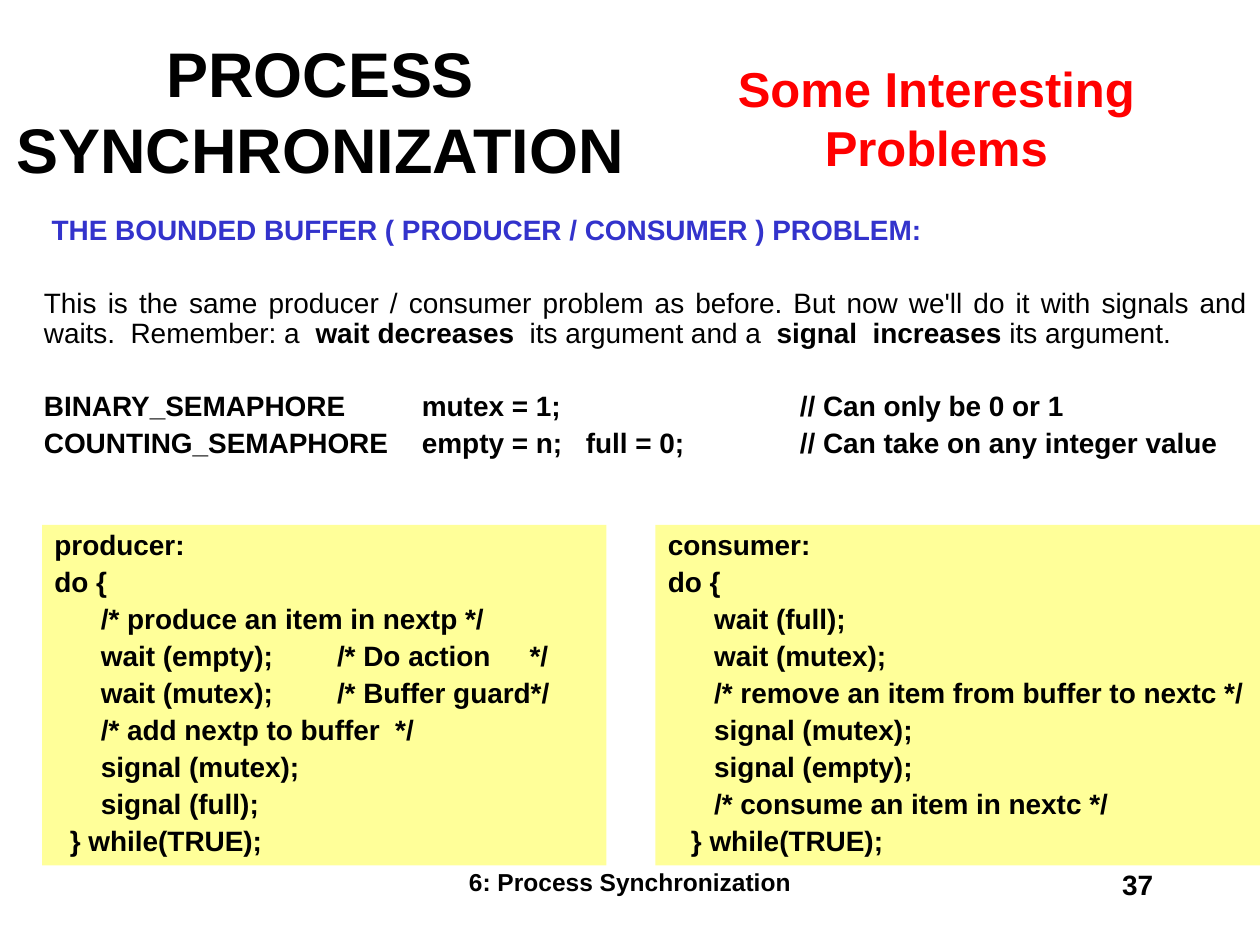
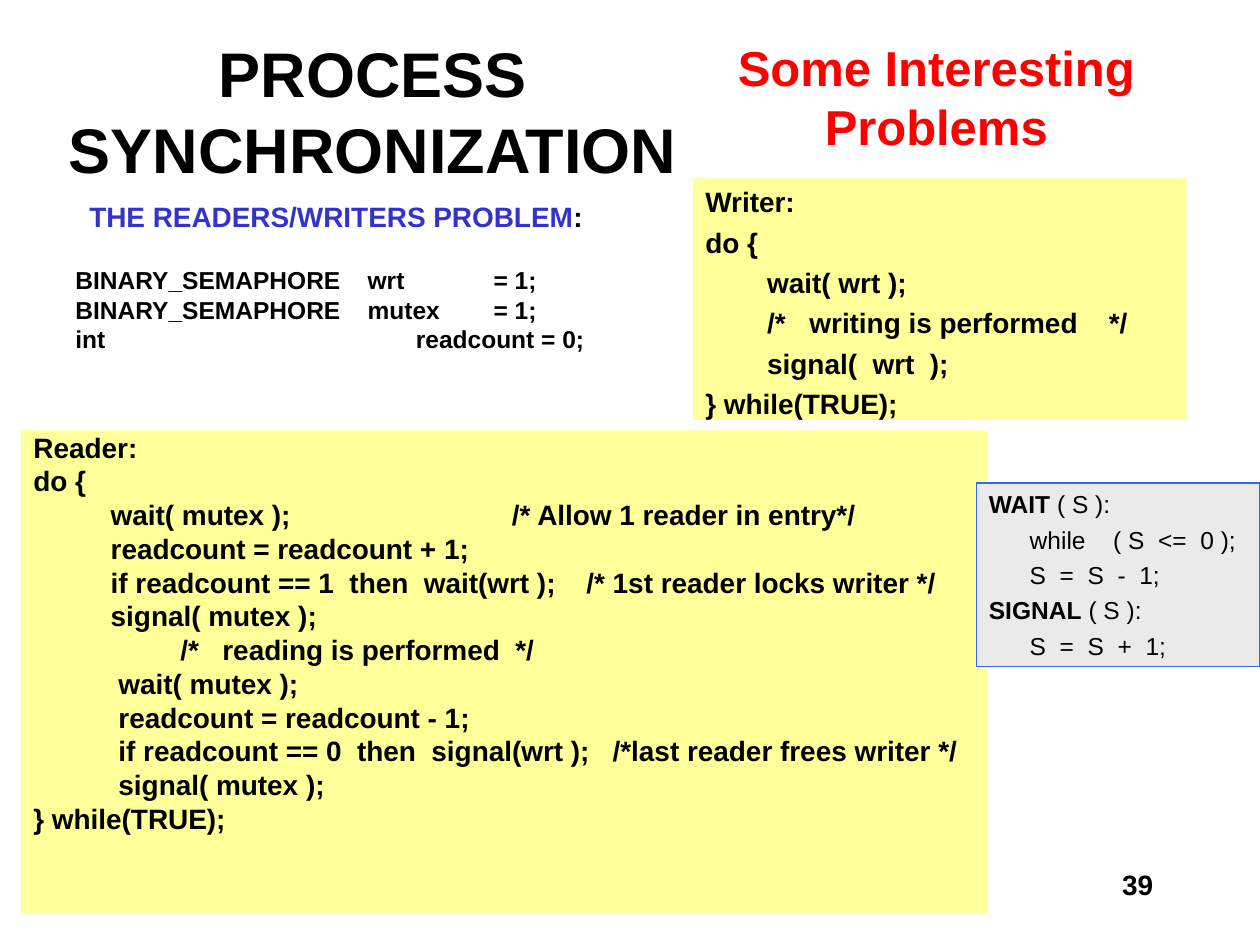
from dataclasses import dataclass

from lxml.etree import SubElement
from pptx import Presentation
from pptx.dml.color import RGBColor
from pptx.enum.shapes import MSO_SHAPE as Shape
from pptx.enum.text import MSO_ANCHOR as Anchor, PP_ALIGN as Align
from pptx.oxml.ns import qn
from pptx.util import Pt

BLACK = RGBColor(0x00, 0x00, 0x00)
RED = RGBColor(0xFF, 0x00, 0x00)
BLUE = RGBColor(0x33, 0x33, 0xCC)
YELLOW = RGBColor(0xFF, 0xFF, 0x99)
GREY = RGBColor(0xEA, 0xEA, 0xEA)
BORDER = RGBColor(0x33, 0x66, 0xFF)
FONT = "Arial"
GAP_RATIO = 0.245


@dataclass
class Line:
    """One paragraph; each bar in its text switches bold on or off."""

    text: str
    tabs: tuple = ()
    extra: float = 0
    indent: float = 0
    size: float = 16
    bold: bool = True
    color: RGBColor = BLACK
    align: Align = Align.LEFT


def write_line(para, line, spacing, before):
    """Fill a paragraph with the spans and settings of a line."""
    properties = para._p.get_or_add_pPr()
    if line.indent:
        properties.set("marL", str(Pt(line.indent)))
    if line.tabs:
        stops = SubElement(properties, qn("a:tabLst"))
        for stop in line.tabs:
            SubElement(stops, qn("a:tab"), pos=str(Pt(stop)), algn="l")
    para.alignment = line.align
    para.line_spacing = spacing
    para.space_before = Pt(before)
    para.font.name = FONT
    para.font.size = Pt(line.size)
    para.font.color.rgb = line.color
    parts = line.text.split("|")
    if len(parts) == 1:
        para.font.bold = line.bold
    for index, part in enumerate(parts):
        span = para.add_run()
        span.text = part
        if len(parts) > 1:
            span.font.bold = line.bold == (index % 2 == 0)


def write_lines(box, lines, spacing=1.0, gap=GAP_RATIO):
    """Write lines into a box, with space between but not above them."""
    frame = box.text_frame
    frame.word_wrap = True
    frame.vertical_anchor = Anchor.TOP
    for index, line in enumerate(lines):
        if isinstance(line, str):
            line = Line(line)
        para = frame.paragraphs[0] if index == 0 else frame.add_paragraph()
        before = line.size * gap + line.extra if index else 0
        write_line(para, line, spacing, before)


def add_text(page, area, lines, spacing=1.0, gap=GAP_RATIO):
    """Add a text box that holds the lines."""
    box = page.shapes.add_textbox(*map(Pt, area))
    write_lines(box, lines, spacing, gap)
    return box


def add_panel(page, area, lines, spacing=1.0, fill=YELLOW, border=None):
    """Add a filled rectangle that holds lines of code."""
    panel = page.shapes.add_shape(Shape.RECTANGLE, *map(Pt, area))
    panel.shadow.inherit = False
    panel.fill.solid()
    panel.fill.fore_color.rgb = fill
    if border:
        panel.line.color.rgb = border
        panel.line.width = Pt(0.75)
    else:
        panel.line.fill.background()
    write_lines(panel, lines, spacing)


def add_headings(page, title_left, title_width, topic_top):
    """Add the black title and the red topic beside it."""
    title = Line("PROCESS SYNCHRONIZATION", size=36, align=Align.CENTER)
    box = add_text(page, (title_left, 18, title_width, 90), [title])
    box.text_frame.vertical_anchor = Anchor.MIDDLE
    topic = [Line(text, size=28, color=RED, align=Align.CENTER)
             for text in ("Some Interesting", "Problems")]
    box = add_text(page, (414, topic_top, 242, 74), topic, gap=0)
    box.text_frame.word_wrap = False


def add_number(page, number):
    """Add the slide number at the lower right."""
    add_text(page, (516, 492, 150, 36), [Line(str(number), align=Align.RIGHT)])


def build_bounded_buffer(page):
    """Build the slide on the producer and consumer problem."""
    footer = Line("6: Process Synchronization", size=14, align=Align.CENTER)
    add_text(page, (246, 492, 228, 36), [footer])
    add_number(page, 37)
    blank = 20.5
    add_text(page, (18, 120, 702, 150), [
        Line("THE BOUNDED BUFFER ( PRODUCER / CONSUMER ) PROBLEM:",
             indent=4.45, color=BLUE),
        Line("This is the same producer / consumer problem as before. But now "
             "we'll do it with signals and waits.  Remember: a  |wait decreases"
             "|  its argument and a  |signal  increases| its argument.",
             extra=blank, bold=False, align=Align.JUSTIFY),
        Line("BINARY_SEMAPHORE\tmutex = 1;\t// Can only be 0 or 1",
             tabs=(216, 432), extra=blank),
        Line("COUNTING_SEMAPHORE\tempty = n;\tfull = 0;"
             "\t// Can take on any integer value", tabs=(216, 309.7, 432)),
    ], 0.9)
    add_panel(page, (24, 300, 322.5, 194.5), [
        "producer:",
        "do {",
        "      /* produce an item in nextp */",
        Line("      wait (empty);\t/* Do action\t*/", tabs=(161.5, 271.5)),
        Line("      wait (mutex);\t/* Buffer guard*/", tabs=(161.5,)),
        "      /* add nextp to buffer  */",
        "      signal (mutex);",
        "      signal (full);",
        "  } while(TRUE);",
    ], 0.9)
    add_panel(page, (374.5, 300, 345.5, 194.5), [
        "consumer:",
        "do {",
        "      wait (full);",
        "      wait (mutex);",
        "      /* remove an item from buffer to nextc */",
        "      signal (mutex);",
        "      signal (empty);",
        "      /* consume an item in nextc */",
        "   } while(TRUE);",
    ], 0.9)
    add_headings(page, 0, 366, 30)


def build_readers_writers(page):
    """Build the slide on the readers and writers problem."""
    add_number(page, 39)
    problem = add_text(page, (36, 114, 312, 102), [
        Line("THE READERS/WRITERS PROBLEM", color=BLUE, align=Align.CENTER),
        Line("BINARY_SEMAPHORE\twrt\t= 1;", (167, 239), extra=18.6, size=14),
        Line("BINARY_SEMAPHORE\tmutex\t= 1;", (167, 239), size=14),
        Line("int\treadcount = 0;", (194.5,), size=14),
    ], 0.8)
    colon = problem.text_frame.paragraphs[0].add_run()
    colon.text = ":"
    colon.font.color.rgb = BLACK
    add_panel(page, (12, 246, 552, 276), [
        "Reader:",
        "do {",
        Line("          wait( mutex );\t/* Allow 1 reader in entry*/", (273.5,)),
        "          readcount = readcount + 1;",
        Line("          if readcount == 1  then  wait(wrt );"
             "\t/* 1st reader locks writer */", (316,)),
        "          signal( mutex );",
        Line("                   /*\treading is performed  */", (108,)),
        "           wait( mutex );",
        "           readcount = readcount - 1;",
        Line("           if readcount == 0  then  signal(wrt );"
             "\t/*last reader frees writer */", (331,)),
        "           signal( mutex );",
        "} while(TRUE);",
    ], 0.8)
    add_panel(page, (396, 102, 282, 138), [
        "Writer:",
        "do {",
        "        wait( wrt );",
        Line("        /*\twriting is performed\t*/", (59.5, 230.5)),
        "        signal(  wrt  );",
        "} while(TRUE);",
    ])
    add_headings(page, 24, 378, 18)
    add_panel(page, (558, 276, 162, 105), [
        Line("WAIT| ( S ):", size=14),
        Line("      while\t( S  <=  0 );", (71,), size=14, bold=False),
        Line("      S  =  S  -  1;", size=14, bold=False),
        Line("SIGNAL| ( S ):", size=14),
        Line("      S  =  S  +  1;", size=14, bold=False),
    ], fill=GREY, border=BORDER)


def main():
    """Build and save the deck."""
    deck = Presentation()
    deck.slide_width, deck.slide_height = Pt(720), Pt(540)
    for build in (build_bounded_buffer, build_readers_writers):
        build(deck.slides.add_slide(deck.slide_layouts[6]))
    deck.save("out.pptx")


if __name__ == "__main__":
    main()
